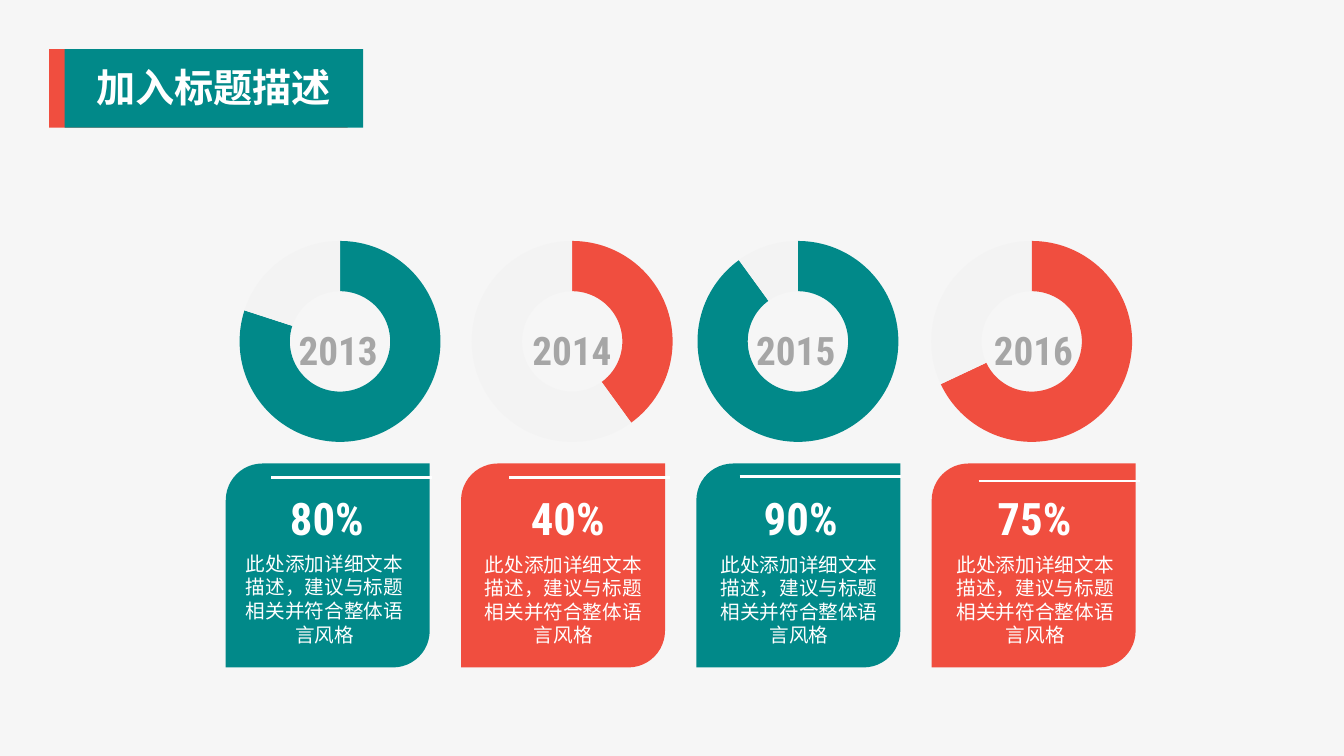
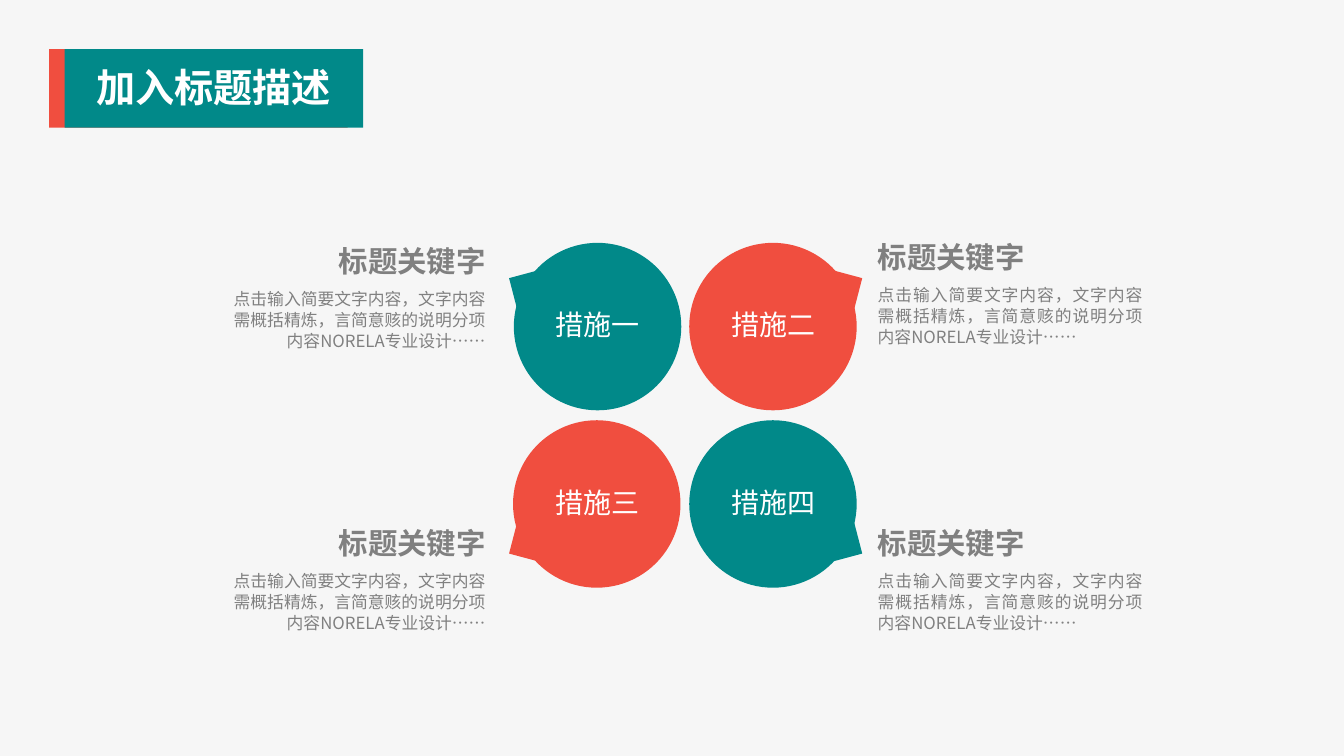
from lxml import etree
from pptx import Presentation
from pptx import util as u
from pptx.chart import data as cd
from pptx.dml.color import RGBColor
from pptx.enum import chart as ch, shapes, text
from pptx.oxml import ns

Cm = u.Cm
LEFT, MID, RIGHT, JUST = (text.PP_ALIGN.LEFT, text.PP_ALIGN.CENTER,
                          text.PP_ALIGN.RIGHT, text.PP_ALIGN.JUSTIFY)


class Theme:
    back, teal, red = "F6F6F6", "018989", "F04E3F"
    white, gray, dark, rest = "FFFFFF", "A6A6A6", "808080", "F3F3F3"
    spare = ("00AF92", "FFBF53")
    han, num, body, chart = "Noto Sans CJK SC", "Roboto Condensed", "Arial", "Calibri"
    title, rate, year, head, label, note, small = 28, 32, 28, 21, 20, 14, 12


# Content (positions in cm)
TITLE = "加入标题描述"
NOTE = "此处添加详细文本描述，建议与标题相关并符合整体语言风格"
YEARS = [
    dict(year="2013", rate="80%", part=80, hue=Theme.teal, ring=5.66,
         yx=7.04, rx=6.45, ry=12.22, nx=6.02, ny=13.77, line=(6.83, 12.04)),
    dict(year="2014", rate="40%", part=40, hue=Theme.red, ring=11.51,
         yx=12.93, rx=12.52, ry=12.24, nx=12.04, ny=13.79, line=(12.83, 12.04)),
    dict(year="2015", rate="90%", part=90, hue=Theme.teal, ring=17.2,
         yx=18.57, rx=18.39, ry=12.22, nx=17.98, ny=13.79, line=(18.64, 12.01)),
    dict(year="2016", rate="75%", part=68, hue=Theme.red, ring=23.09,
         yx=24.56, rx=24.28, ry=12.24, nx=23.93, ny=13.79, line=(24.66, 12.12)),
]
HEAD = "标题关键字"
BODY = "点击输入简要文字内容，文字内容需概括精炼，言简意赅的说明分项内容NORELA专业设计……"
# label, colour, column, row, circle left, heading top
STEPS = [
    ("措施一", Theme.teal, 0, 0, 12.95, 6.12),
    ("措施二", Theme.red, 1, 0, 17.37, 6.02),
    ("措施三", Theme.red, 0, 1, 12.93, 13.23),
    ("措施四", Theme.teal, 1, 1, 17.37, 13.23),
]
TIP = [(12.83, 7.01), (14.17, 6.65), (13.49, 7.39), (13.18, 8.36)]
AXIS = (17.28, 10.48)


# Shared helpers
def rgb(hue):
    return RGBColor.from_string(hue)


def paint(shape, hue):
    shape.shadow.inherit = False
    shape.fill.solid()
    shape.fill.fore_color.rgb = rgb(hue)
    shape.line.fill.background()
    return shape


def block(slide, kind, box, hue):
    return paint(slide.shapes.add_shape(kind, *map(Cm, box)), hue)


def write(slide, words, box, size, hue, font=Theme.han, bold=False,
          align=MID, lead=None, top=0, fill=None):
    if fill:
        shape = block(slide, shapes.MSO_SHAPE.RECTANGLE, box, fill)
    else:
        shape = slide.shapes.add_textbox(*map(Cm, box))
    frame = shape.text_frame
    frame.word_wrap = True
    frame.auto_size = text.MSO_AUTO_SIZE.NONE
    frame.vertical_anchor = text.MSO_ANCHOR.MIDDLE
    frame.margin_left = frame.margin_right = frame.margin_bottom = 0
    frame.margin_top = Cm(top)
    para = frame.paragraphs[0]
    para.alignment = align
    if lead:
        para.line_spacing = u.Pt(lead)
    run = para.add_run()
    run.text = words
    run.font.size, run.font.bold, run.font.name = u.Pt(size), bold, font
    run.font.color.rgb = rgb(hue)
    east = etree.SubElement(run._r.get_or_add_rPr(), ns.qn("a:ea"))
    east.set("typeface", Theme.han)


def start(prs):
    slide = prs.slides.add_slide(prs.slide_layouts[6])
    for left, hue in ((1.24, Theme.red), (1.63, Theme.teal)):
        block(slide, shapes.MSO_SHAPE.RECTANGLE, (left, 1.24, 7.52, 1.98), hue)
    write(slide, TITLE, (1.19, 1.5, 8.38, 1.4), Theme.title, Theme.white, bold=True)
    return slide


# Slide 1: yearly rings and cards
def ring(slide, left, part, hue):
    data = cd.CategoryChartData()
    data.categories = ["1", "2", "3", "4"]
    data.add_series("Series 1", (part, 100 - part, None, None))
    box = map(Cm, (left, 5.72, 5.82, 5.77))
    chart = slide.shapes.add_chart(ch.XL_CHART_TYPE.DOUGHNUT, *box, data).chart
    chart.has_legend = chart.has_title = False
    chart.font.name, chart.font.size = Theme.chart, u.Pt(18)
    chart.font.color.rgb = rgb("000000")
    plot = chart.plots[0]
    plot.vary_by_categories = True
    for i, tone in enumerate((hue, Theme.rest, *Theme.spare)):
        form = plot.series[0].points[i].format
        form.fill.solid()
        form.fill.fore_color.rgb = rgb(tone)
        form.line.fill.background()
    # Hole size and plot area
    area = chart._chartSpace.find(".//" + ns.qn("c:plotArea"))
    area.find(".//" + ns.qn("c:holeSize")).set("val", "70")
    for old in area.findall(ns.qn("c:layout")):
        area.remove(old)
    frame = etree.Element(ns.qn("c:layout"))
    area.insert(0, frame)
    spot = etree.SubElement(frame, ns.qn("c:manualLayout"))
    for tag, val in (("layoutTarget", "inner"), ("xMode", "edge"), ("yMode", "edge"),
                     ("x", "0.065"), ("y", "0.06"), ("w", "0.87"), ("h", "0.88")):
        etree.SubElement(spot, ns.qn("c:" + tag)).set("val", val)


def rule(slide, left, top):
    line = slide.shapes.add_connector(shapes.MSO_CONNECTOR.STRAIGHT, Cm(left),
                                      Cm(top), Cm(left + 4.06), Cm(top))
    line.line.color.rgb = rgb(Theme.white)
    line.line.width = u.Pt(2)
    etree.SubElement(line._element.spPr, ns.qn("a:effectLst"))


def rings(prs):
    slide = start(prs)
    for i, item in enumerate(YEARS):
        ring(slide, item["ring"], item["part"], item["hue"])
        card = block(slide, shapes.MSO_SHAPE.ROUND_2_DIAG_RECTANGLE,
                     (5.69 + 5.93 * i, 11.68, 5.14, 5.14), item["hue"])
        card.adjustments[0], card.adjustments[1] = 0.18, 0
        write(slide, item["year"], (item["yx"], 8.08, 2.97, 1.32), Theme.year,
              Theme.gray, font=Theme.num, bold=True, top=0.13)
        write(slide, item["rate"], (item["rx"], item["ry"], 3.58, 1.5), Theme.rate,
              Theme.white, font=Theme.num, bold=True, top=0.13)
        write(slide, NOTE, (item["nx"], item["ny"], 4.32, 2.51), Theme.note,
              Theme.white, font=Theme.body, lead=16.9, top=0.13)
        rule(slide, *item["line"])


# Slide 2: four steps
def tip(slide, col, row, hue):
    pts = [(Cm(2 * AXIS[0] - x if col else x), Cm(2 * AXIS[1] - y if row else y))
           for x, y in TIP]
    path = slide.shapes.build_freeform(*pts[0], scale=1.0)
    path.add_line_segments(pts[1:], close=True)
    paint(path.convert_to_shape(), hue)


def steps(prs):
    slide = start(prs)
    for label, hue, col, row, left, top in STEPS:
        tip(slide, col, row, hue)
        high = 6.12 + 4.47 * row
        block(slide, shapes.MSO_SHAPE.OVAL, (left, high, 4.22, 4.22), hue)
        write(slide, label, (left + 0.2, high + 1.63, 3.84, 0.86), Theme.label,
              Theme.white, fill=hue)
        side, wide = (22.12, 6.68) if col else (5.64, 6.6)
        write(slide, BODY, (side, top + 1.12, wide, 1.6), Theme.small, Theme.dark,
              align=JUST if col else RIGHT, lead=15)
        write(slide, HEAD, (22.12 if col else 6.35, top, 5.89, 0.89), Theme.head,
              Theme.dark, bold=True, align=LEFT if col else RIGHT)


def main():
    prs = Presentation()
    prs.slide_width, prs.slide_height = Cm(33.87), Cm(19.05)
    fill = prs.slide_master.background.fill
    fill.solid()
    fill.fore_color.rgb = rgb(Theme.back)
    rings(prs)
    steps(prs)
    prs.save("out.pptx")


if __name__ == "__main__":
    main()
